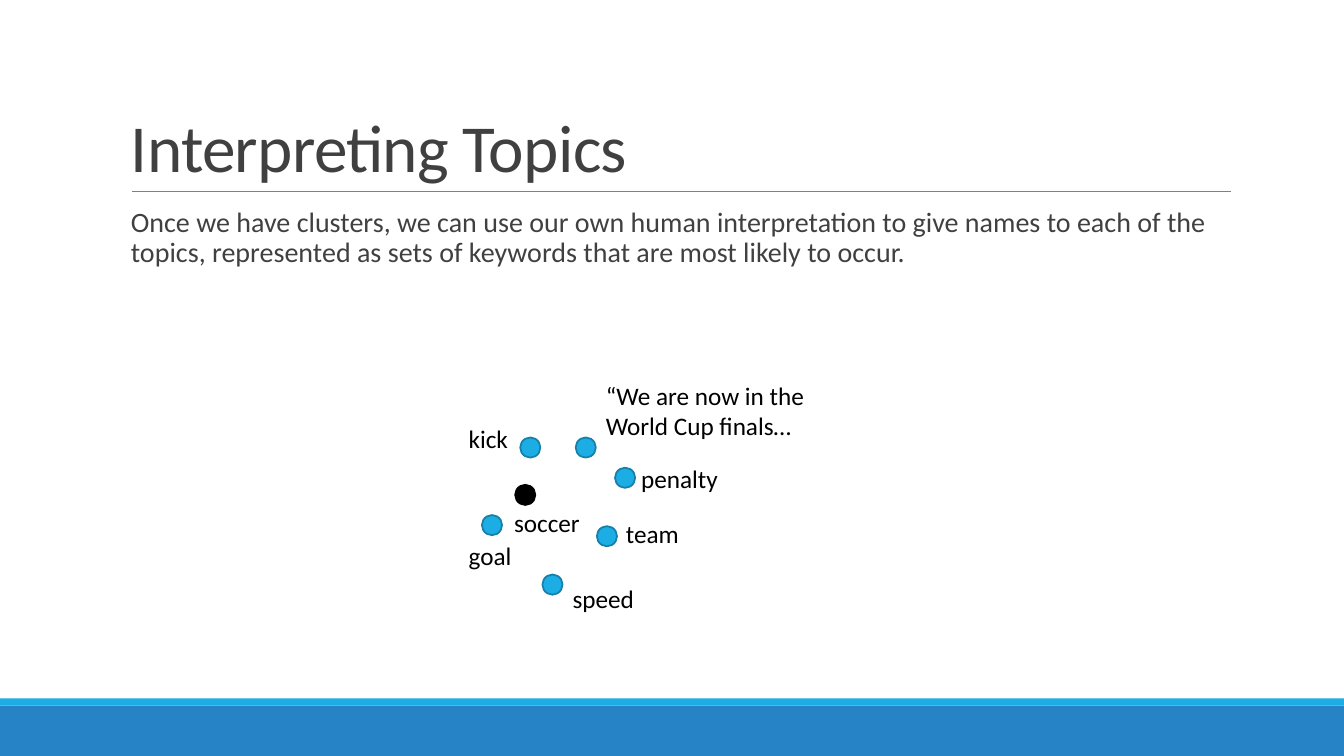
from pptx import Presentation, util as u
from pptx.dml.color import RGBColor
from pptx.enum import shapes, text

WIDE, HIGH = 13.33, 7.5
HUES = {"blue": "2683C6", "sky": "1CADE4", "edge": "1580A9",
        "rule": "808080", "gray": "404040", "black": "000000"}
TITLE = "Interpreting Topics"
BODY = ("Once we have clusters, we can use our own human interpretation to give "
        "names to each of the topics, represented as sets of keywords that are "
        "most likely to occur.")
BANDS = [(7, 0.5, "blue"), (6.93, 0.07, "sky")]
DOT = 0.2
DOTS = [(5.71, 4.34), (6.1, 4.64), (4.78, 5.11), (5.92, 5.22), (5.16, 4.34), (5.38, 5.7)]
TOPIC = (5.11, 4.81)
WORDS = [("penalty", 6.26, 4.55, 1.18, 0.4), ("kick", 4.55, 4.15, 0.66, 0.4),
         ("goal", 4.55, 5.31, 0.69, 0.4), ("soccer", 5, 4.98, 0.86, 0.4),
         ("speed", 5.58, 5.74, 0.82, 0.4), ("team", 6.11, 5.09, 1.03, 0.4),
         ("“We are now in the World Cup finals…", 5.91, 3.72, 2.59, 0.71)]


def tint(name):
    return RGBColor.from_string(HUES[name])


def shape(kind, box, fill, edge=None):
    part = slide.shapes.add_shape(kind, *map(u.Inches, box))
    part.shadow.inherit = False
    part.fill.solid()
    part.fill.fore_color.rgb = tint(fill)
    if edge:
        part.line.color.rgb = tint(edge)
        part.line.width = u.Pt(1.25)
    else:
        part.line.fill.background()


def label(words, box, size=18, hue="black", space=1.0):
    frame = slide.shapes.add_textbox(*map(u.Inches, box)).text_frame
    frame.word_wrap = True
    para = frame.paragraphs[0]
    para.text = words
    para.line_spacing = space
    para.font.size = u.Pt(size)
    para.font.name = "Calibri"
    para.font.color.rgb = tint(hue)
    return frame


deck = Presentation()
deck.slide_width, deck.slide_height = u.Inches(WIDE), u.Inches(HIGH)
slide = deck.slides.add_slide(deck.slide_layouts[6])

for top, tall, hue in BANDS:
    shape(shapes.MSO_SHAPE.RECTANGLE, (0, top, WIDE, tall), hue)

rule = slide.shapes.add_connector(
    shapes.MSO_CONNECTOR.STRAIGHT, *map(u.Inches, (1.31, 1.9, 12.21, 1.9)))
rule.line.color.rgb = tint("rule")
rule.line.width = u.Pt(0.5)
rule._element.spPr.add_effectLst() if hasattr(rule._element.spPr, "add_effectLst") else \
    rule._element.spPr.get_or_add_effectLst()

head = label(TITLE, (1.2, 0.31, 11, 1.59), 48, "gray", 0.85)
head.vertical_anchor = text.MSO_ANCHOR.BOTTOM
head.paragraphs[0].runs[0].font._element.set("spc", "-50")

body = label(BODY, (1.2, 2.02, 11, 4.4), 20, "gray", 0.9)
body.margin_right = 0
body.paragraphs[0].space_before = u.Pt(12)
body.paragraphs[0].space_after = u.Pt(2)

for spot in DOTS:
    shape(shapes.MSO_SHAPE.OVAL, (*spot, DOT, DOT), "sky", "edge")
shape(shapes.MSO_SHAPE.OVAL, (*TOPIC, DOT, DOT), "black", "black")

for words, *box in WORDS:
    label(words, box)

deck.save("out.pptx")
